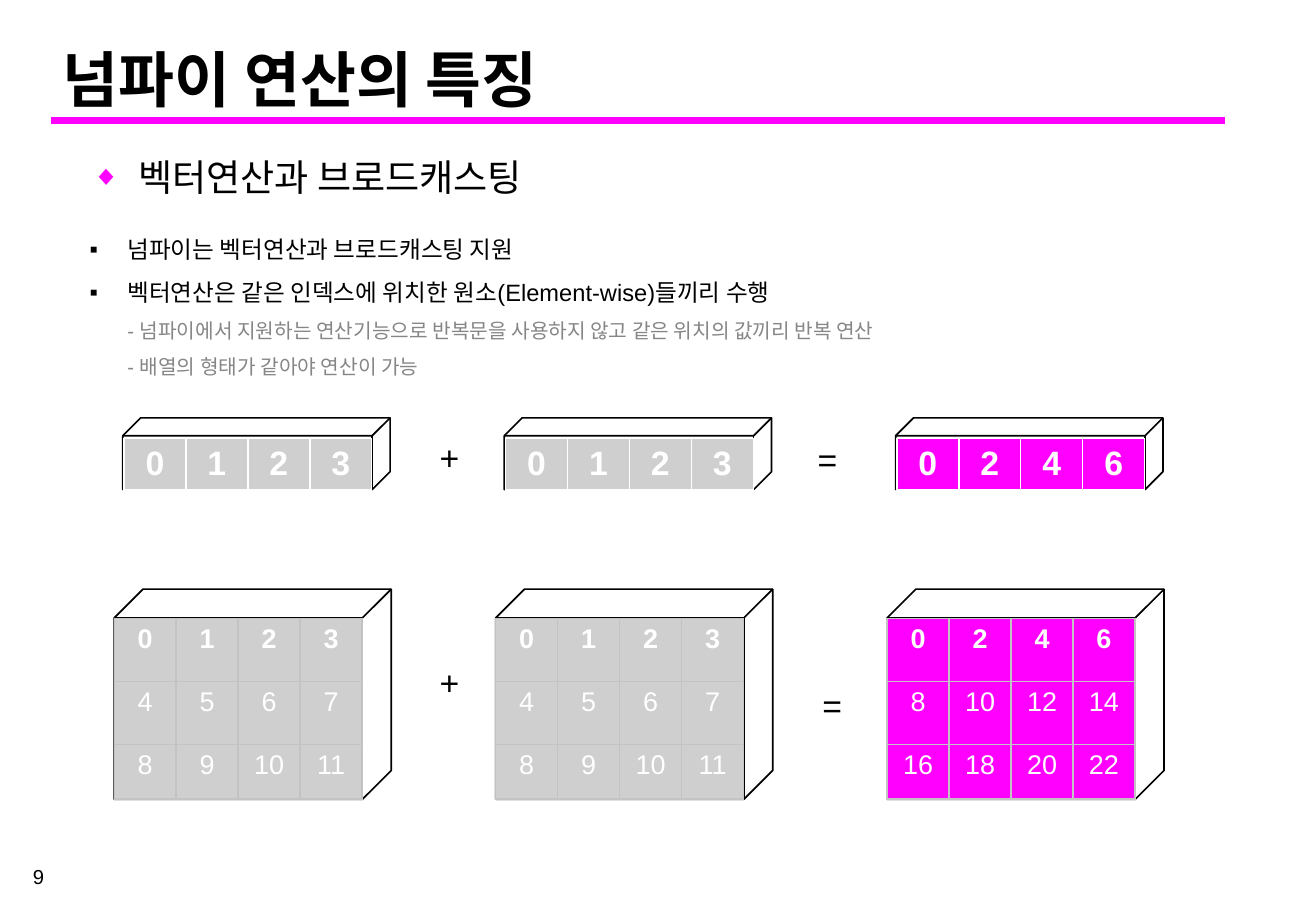
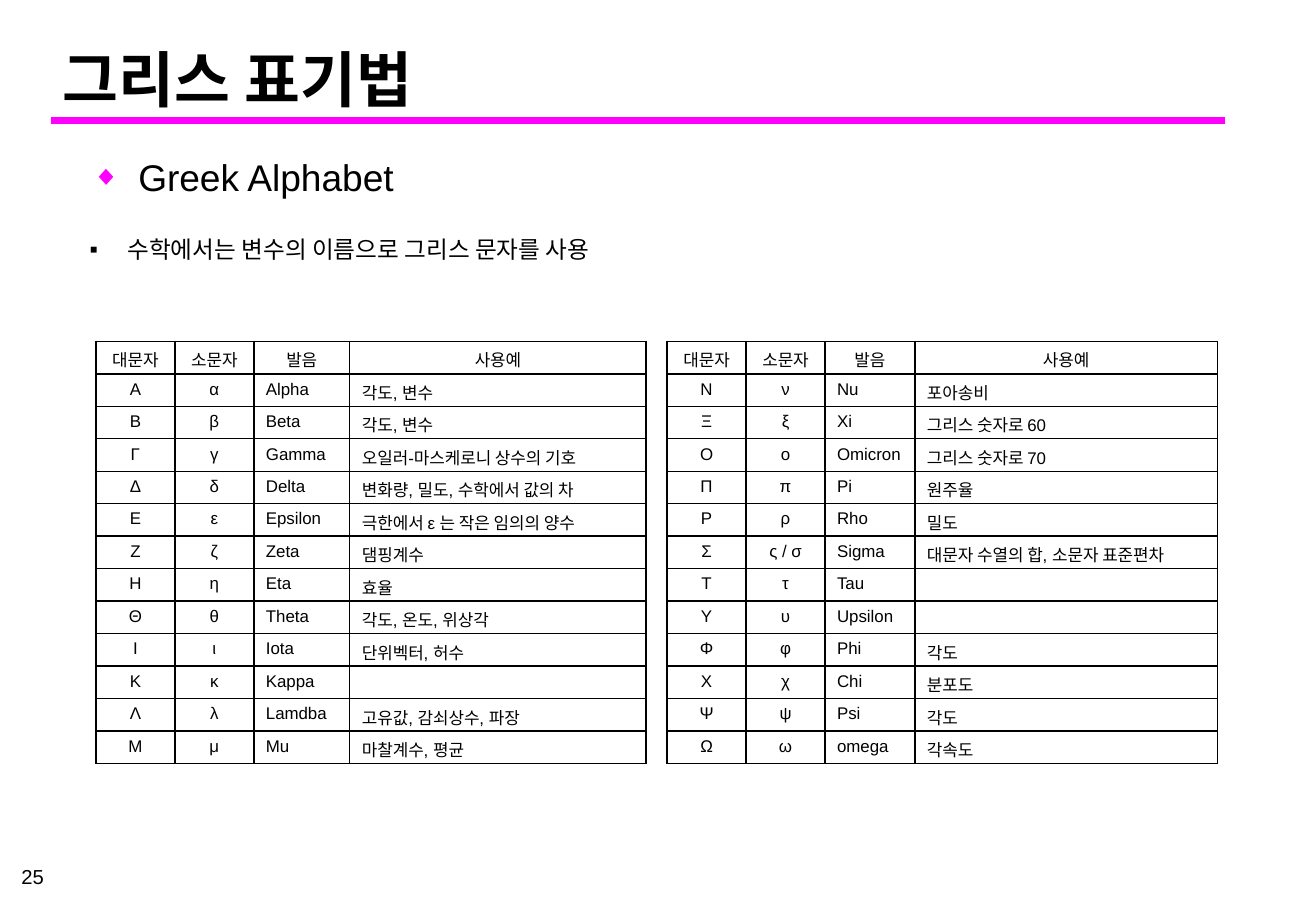
from lxml.etree import SubElement
from pptx import Presentation
from pptx.dml.color import RGBColor
from pptx.enum.shapes import MSO_CONNECTOR, MSO_SHAPE
from pptx.enum.text import MSO_ANCHOR, PP_ALIGN
from pptx.oxml.ns import qn
from pptx.util import Inches, Pt

W, H = Inches(10.83), Inches(7.5)
FONT = "Arial"
COLORS = {"ink": "000000", "accent": "FF00FF", "muted": "868686",
          "cell": "CFCFCF", "edge": "C3C3C3", "white": "FFFFFF"}
EDGES = ("lnL", "lnR", "lnT", "lnB")

OPERAND_X = (8.68, 37.67, 67.41)
OPERAND_FILLS = ("cell", "cell", "accent")
VECTOR = [[0, 1, 2, 3]]
VECTOR_SUM = [[0, 2, 4, 6]]
MATRIX = [[4 * i + j for j in range(4)] for i in range(3)]
MATRIX_SUM = [[2 * v for v in row] for row in MATRIX]

GREEK_HEAD = ("대문자", "소문자", "발음", "사용예")
GREEK_FIRST = [
    ("Α", "α", "Alpha", "각도, 변수"),
    ("Β", "β", "Beta", "각도, 변수"),
    ("Γ", "γ", "Gamma", "오일러-마스케로니 상수의 기호"),
    ("Δ", "δ", "Delta", "변화량, 밀도, 수학에서 값의 차"),
    ("Ε", "ε", "Epsilon", "극한에서 ε 는 작은 임의의 양수"),
    ("Ζ", "ζ", "Zeta", "댐핑계수"),
    ("Η", "η", "Eta", "효율"),
    ("Θ", "θ", "Theta", "각도, 온도, 위상각"),
    ("Ι", "ι", "Iota", "단위벡터, 허수"),
    ("Κ", "κ", "Kappa", ""),
    ("Λ", "λ", "Lamdba", "고유값, 감쇠상수, 파장"),
    ("Μ", "μ", "Mu", "마찰계수, 평균"),
]
GREEK_SECOND = [
    ("Ν", "ν", "Nu", "포아송비"),
    ("Ξ", "ξ", "Xi", "그리스 숫자로 60"),
    ("Ο", "ο", "Omicron", "그리스 숫자로 70"),
    ("Π", "π", "Pi", "원주율"),
    ("Ρ", "ρ", "Rho", "밀도"),
    ("Σ", "ς / σ", "Sigma", "대문자 수열의 합, 소문자 표준편차"),
    ("Τ", "τ", "Tau", ""),
    ("Υ", "υ", "Upsilon", ""),
    ("Φ", "φ", "Phi", "각도"),
    ("Χ", "χ", "Chi", "분포도"),
    ("Ψ", "ψ", "Psi", "각도"),
    ("Ω", "ω", "omega", "각속도"),
]


def rgb(name):
    """Return a palette colour."""
    return RGBColor.from_string(COLORS[name])


def px(share):
    """Turn a percentage of the slide's width into a length."""
    return round(W * share / 100)


def py(share):
    """Turn a percentage of the slide's height into a length."""
    return round(H * share / 100)


def place(x, y, w, h):
    """Turn a box in percentages into lengths."""
    return px(x), py(y), px(w), py(h)


def style_run(r, size, color="ink", bold=False):
    """Format one run."""
    r.font.name, r.font.size, r.font.bold = FONT, Pt(size), bold
    r.font.color.rgb = rgb(color)


def style_paragraph(p, size, color="ink", bold=False, align=PP_ALIGN.LEFT):
    """Format a paragraph, its line breaks and its empty end."""
    p.alignment = align
    for r in p.runs:
        style_run(r, size, color, bold)
    for br in p._p.findall(qn("a:br")):
        SubElement(br, qn("a:rPr"), sz=str(size * 100))
    if not p.runs:
        SubElement(p._p, qn("a:endParaRPr"), sz=str(size * 100))


def add_bullet(p, char, indent, spacing, color="ink", scale=100):
    """Give a paragraph a hanging bullet."""
    p.line_spacing = spacing
    pPr = p._p.get_or_add_pPr()
    pPr.set("marL", str(Inches(indent)))
    pPr.set("indent", str(-Inches(indent)))
    SubElement(SubElement(pPr, qn("a:buClr")), qn("a:srgbClr"), val=COLORS[color])
    SubElement(pPr, qn("a:buSzPct"), val=str(scale * 1000))
    SubElement(pPr, qn("a:buFont"), typeface=FONT)
    SubElement(pPr, qn("a:buChar"), char=char)


def add_text(s, box, text, size, bold=False, align=PP_ALIGN.LEFT, anchor=MSO_ANCHOR.TOP):
    """Add a wrapped text box and return its text frame."""
    tf = s.shapes.add_textbox(*place(*box)).text_frame
    tf.word_wrap, tf.vertical_anchor = True, anchor
    tf.text = text
    for p in tf.paragraphs:
        style_paragraph(p, size, bold=bold, align=align)
    return tf


def add_frame(prs, title, subtitle, number):
    """Add a slide with title, rule, subtitle and page number."""
    s = prs.slides.add_slide(prs.slide_layouts[6])
    rule = s.shapes.add_connector(MSO_CONNECTOR.STRAIGHT, px(3.88), py(13.2), px(93.07), py(13.2))
    rule.line.color.rgb, rule.line.width = rgb("accent"), Pt(4)
    SubElement(rule._element.spPr, qn("a:effectLst"))
    add_text(s, (3.88, 3.73, 88.46, 9.47), title, 36, bold=True, anchor=MSO_ANCHOR.BOTTOM)
    add_text(s, (-0.18, 95.2, 4.43, 2), str(number), 12, align=PP_ALIGN.RIGHT,
             anchor=MSO_ANCHOR.MIDDLE)
    p = add_text(s, (6.09, 15.33, 86.8, 7.33), subtitle, 22).paragraphs[0]
    p.space_before = Pt(4.4)
    add_bullet(p, "◆", 0.38, 1.2, "accent", 75)
    return s


def add_points(s, text, height):
    """Add square bullets; lines after a break are muted details."""
    tf = add_text(s, (5.91, 23.6, 90.77, height), text, 14)
    for p in tf.paragraphs:
        add_bullet(p, "▪", 0.31, 1.5)
        for r in p.runs[1:]:
            style_run(r, 12, "muted")


def add_borders(cell, color, widths):
    """Draw the four edges of a cell."""
    tcPr = cell._tc.get_or_add_tcPr()
    for edge, width in zip(EDGES, widths):
        ln = SubElement(tcPr, qn(f"a:{edge}"), w=str(Pt(width)))
        SubElement(SubElement(ln, qn("a:solidFill")), qn("a:srgbClr"), val=COLORS[color])


def add_grid(s, x, y, cols, rows, values, format_cell, edge, widths=(1, 1, 1, 1)):
    """Add a table; format_cell returns fill and text style by position."""
    box = place(x, y, sum(cols), sum(rows))
    table = s.shapes.add_table(len(rows), len(cols), *box).table
    table.first_row = table.horz_banding = False
    for col, w in zip(table.columns, cols):
        col.width = px(w)
    for i, (row, h) in enumerate(zip(table.rows, rows)):
        row.height = py(h)
        for j, cell in enumerate(row.cells):
            fill, style = format_cell(i, j)
            add_borders(cell, edge, widths)
            if fill:
                cell.fill.solid()
                cell.fill.fore_color.rgb = rgb(fill)
            else:
                cell.fill.background()
            cell.text_frame.text = str(values[i][j])
            style_paragraph(cell.text_frame.paragraphs[0], **style)


def add_cube(s, box, depth):
    """Add an outlined cube."""
    cube = s.shapes.add_shape(MSO_SHAPE.CUBE, *place(*box))
    cube.shadow.inherit = False
    cube.adjustments[0] = depth
    cube.fill.background()
    cube.line.color.rgb, cube.line.width = rgb("ink"), Pt(1)


def add_array(s, x, cube, depth, offset, rows, values, fill, size, edge, widths):
    """Add a cube with its numbers on the front face."""
    y, w, h = cube
    dx, dy = offset

    def number_cell(i, j):
        """Bold the first row of numbers."""
        return fill, dict(size=size, color="white", bold=i == 0, align=PP_ALIGN.CENTER)

    add_cube(s, (x, y, w, h), depth)
    add_grid(s, x + dx, y + dy, [4.71] * 4, rows, values, number_cell, edge, widths)


def add_greek(s, x, cols, letters):
    """Add one half of the Greek alphabet."""

    def letter_cell(i, j):
        """Centre the head and the letters."""
        centred = i == 0 or j < 2
        return None, dict(size=10, align=PP_ALIGN.CENTER if centred else PP_ALIGN.LEFT)

    values = [GREEK_HEAD] + letters
    add_grid(s, x, 37.47, cols, [3.56] * len(values), values, letter_cell, "ink")


def build_vectors(prs):
    """Build the slide on element-wise sums."""
    s = add_frame(prs, "넘파이 연산의 특징", "벡터연산과 브로드캐스팅", 9)
    add_points(s, "넘파이는 벡터연산과 브로드캐스팅 지원\n"
                  "벡터연산은 같은 인덱스에 위치한 원소(Element-wise)들끼리 수행\v"
                  "- 넘파이에서 지원하는 연산기능으로 반복문을 사용하지 않고 같은 위치의 값끼리 반복 연산\v"
                  "- 배열의 형태가 같아야 연산이 가능", 18.8)
    vectors, matrices = (VECTOR, VECTOR, VECTOR_SUM), (MATRIX, MATRIX, MATRIX_SUM)
    for x, fill, vector, matrix in zip(OPERAND_X, OPERAND_FILLS, vectors, matrices):
        add_array(s, x + 0.65, (45.87, 20.31, 7.87), 0.25, (0.09, 2.26), [5.33],
                  vector, fill, 20, "white", (1, 1, 1, 3))
        add_array(s, x, (64.67, 21.05, 23.07), 0.137, (0, 3.2), [6.93, 6.93, 6],
                  matrix, fill, 16, "edge", (1, 1, 1, 1))
    for sign, x, y in (("+", 32.5, 47.33), ("=", 61.22, 47.47),
                       ("+", 32.5, 72), ("=", 61.59, 74.53)):
        add_text(s, (x, y, 3.6, 5.87), sign, 20)


def build_alphabet(prs):
    """Build the slide on Greek letters."""
    s = add_frame(prs, "그리스 표기법", "Greek Alphabet", 25)
    add_points(s, "수학에서는 변수의 이름으로 그리스 문자를 사용", 6)
    add_greek(s, 7.29, (6, 6, 7.29, 22.53), GREEK_FIRST)
    add_greek(s, 50.69, (6, 6, 6.83, 22.99), GREEK_SECOND)


def main():
    """Build and save the presentation."""
    prs = Presentation()
    prs.slide_width, prs.slide_height = W, H
    build_vectors(prs)
    build_alphabet(prs)
    prs.save("out.pptx")


if __name__ == "__main__":
    main()
